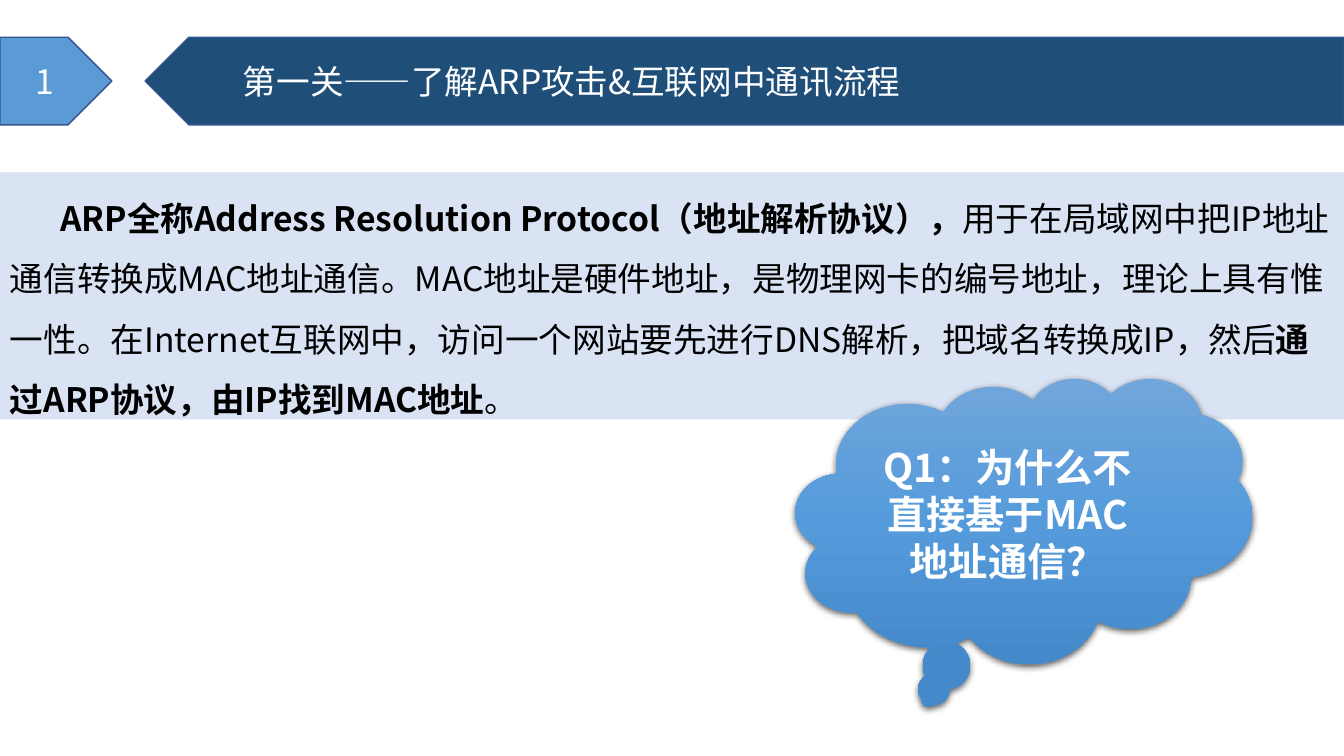
from lxml import etree
from pptx import Presentation
from pptx.dml.color import RGBColor
from pptx.enum.shapes import MSO_SHAPE
from pptx.enum.text import MSO_ANCHOR, MSO_AUTO_SIZE, PP_ALIGN
from pptx.oxml import parse_xml
from pptx.oxml.ns import nsdecls, qn
from pptx.util import Inches, Pt

RECTANGLE, PENTAGON = MSO_SHAPE.RECTANGLE, MSO_SHAPE.PENTAGON
CLOUD = MSO_SHAPE.CLOUD_CALLOUT
TOP, MIDDLE = MSO_ANCHOR.TOP, MSO_ANCHOR.MIDDLE
LEFT, CENTER = PP_ALIGN.LEFT, PP_ALIGN.CENTER
GROW, NO_FIT = MSO_AUTO_SIZE.SHAPE_TO_FIT_TEXT, MSO_AUTO_SIZE.NONE

WHITE = RGBColor(0xFF, 0xFF, 0xFF)
BLACK = RGBColor(0x00, 0x00, 0x00)
PALE_BLUE = RGBColor(0xDA, 0xE3, 0xF3)
BLUE = RGBColor(0x5B, 0x9B, 0xD5)
NAVY = RGBColor(0x1F, 0x4E, 0x79)
OUTLINE = RGBColor(0x32, 0x54, 0x91)
CLOUD_TOP = RGBColor(0x71, 0xA6, 0xDB)
CLOUD_MIDDLE = RGBColor(0x55, 0x9B, 0xDB)
CLOUD_BOTTOM = RGBColor(0x44, 0x8A, 0xCA)

FONT = "Noto Sans CJK SC"
BANNER_TOP, BANNER_HEIGHT = 4.93, 11.6
BANNER_LEFT = 10.8


class LessonPage:
    """One slide; every place is left, top, width, height in percent of it."""

    def __init__(self, deck):
        self.width, self.height = deck.slide_width, deck.slide_height
        self.page = deck.slides.add_slide(deck.slide_layouts[5])

    def lengths(self, place):
        sides = (self.width, self.height) * 2
        return [round(side * share / 100) for side, share in zip(sides, place)]

    def shape(self, kind, place, fill=None, line=None):
        shape = self.page.shapes.add_shape(kind, *self.lengths(place))
        shape.shadow.inherit = False
        if fill is not None:
            shape.fill.solid()
            shape.fill.fore_color.rgb = fill
        if line is None:
            shape.line.fill.background()
        else:
            shape.line.color.rgb = line
            shape.line.width = Pt(1)
        return shape

    def put_text(self, shape, spans, size=24, color=WHITE, bold=False,
                 align=CENTER, anchor=MIDDLE):
        """Fill the shape with one paragraph of (text, bold) spans."""
        frame = shape.text_frame
        frame.word_wrap = True
        frame.vertical_anchor = anchor
        para = frame.paragraphs[0]
        para.alignment = align
        font = para.font
        font.name, font.size, font.bold = FONT, Pt(size), bold
        font.color.rgb = color
        latin = para._p.pPr.find(qn("a:defRPr")).find(qn("a:latin"))
        east_asian = etree.Element(qn("a:ea"), typeface=FONT)
        latin.addnext(east_asian)
        for text, strong in spans:
            span = para.add_run()
            span.text = text
            if strong != bold:
                span.font.bold = strong
        return para

    def title(self, text, place, inset):
        title = self.page.shapes.title
        title.left, title.top, title.width, title.height = self.lengths(place)
        title.text_frame.margin_left = Inches(inset)
        title.text_frame.auto_size = NO_FIT
        self.put_text(title, [(text, False)], align=LEFT)
        self.page.shapes._spTree.append(title._element)

    def body(self, spans, place):
        box = self.shape(RECTANGLE, place, PALE_BLUE)
        para = self.put_text(box, spans, color=BLACK, align=LEFT, anchor=TOP)
        para.line_spacing = 1.5
        para._p.pPr.set("indent", str(Inches(0.5)))
        box.text_frame.auto_size = GROW

    def cloud(self, text, place):
        cloud = self.shape(CLOUD, place)
        stops = ((0, CLOUD_TOP), (50, CLOUD_MIDDLE), (100, CLOUD_BOTTOM))
        stop_xml = "".join(
            f'<a:gs pos="{share * 1000}"><a:srgbClr val="{color}"/></a:gs>'
            for share, color in stops)
        properties = cloud._element.spPr
        properties.find(qn("a:prstGeom")).addnext(parse_xml(
            f'<a:gradFill {nsdecls("a")} rotWithShape="1">'
            f'<a:gsLst>{stop_xml}</a:gsLst>'
            '<a:lin ang="5400000" scaled="0"/></a:gradFill>'))
        properties.find(qn("a:effectLst")).append(parse_xml(
            f'<a:outerShdw {nsdecls("a")} blurRad="{Pt(4.5)}" '
            f'dist="{Pt(1.5)}" dir="5400000" algn="ctr" rotWithShape="0">'
            '<a:srgbClr val="000000"><a:alpha val="63000"/></a:srgbClr>'
            '</a:outerShdw>'))
        self.put_text(cloud, [(text, True)], size=28, bold=True)


def main():
    deck = Presentation()
    deck.slide_width, deck.slide_height = Inches(13.33), Inches(7.5)
    lesson = LessonPage(deck)

    lesson.body([
        ("ARP全称Address Resolution Protocol（地址解析协议），", True),
        ("用于在局域网中把IP地址通信转换成MAC地址通信。"
         "MAC地址是硬件地址，是物理网卡的编号地址，理论上具有惟一性。"
         "在Internet互联网中，访问一个网站要先进行DNS解析，"
         "把域名转换成IP，然后", False),
        ("通过ARP协议，由IP找到MAC地址", True),
        ("。", False),
    ], (0, 22.8, 100, 32.67))

    number = lesson.shape(PENTAGON, (0, BANNER_TOP, 8.33, BANNER_HEIGHT),
                          BLUE, OUTLINE)
    lesson.put_text(number, [("1", False)])

    banner_place = (BANNER_LEFT, BANNER_TOP, 100 - BANNER_LEFT, BANNER_HEIGHT)
    banner = lesson.shape(PENTAGON, banner_place, NAVY, OUTLINE)
    banner._element.spPr.find(qn("a:xfrm")).set("flipH", "1")
    lesson.title("第一关——了解ARP攻击&互联网中通讯流程", banner_place, 0.97)

    lesson.cloud("Q1：为什么不直接基于MAC地址通信？", (59.19, 50, 33.98, 37.73))
    deck.save("out.pptx")


if __name__ == "__main__":
    main()
